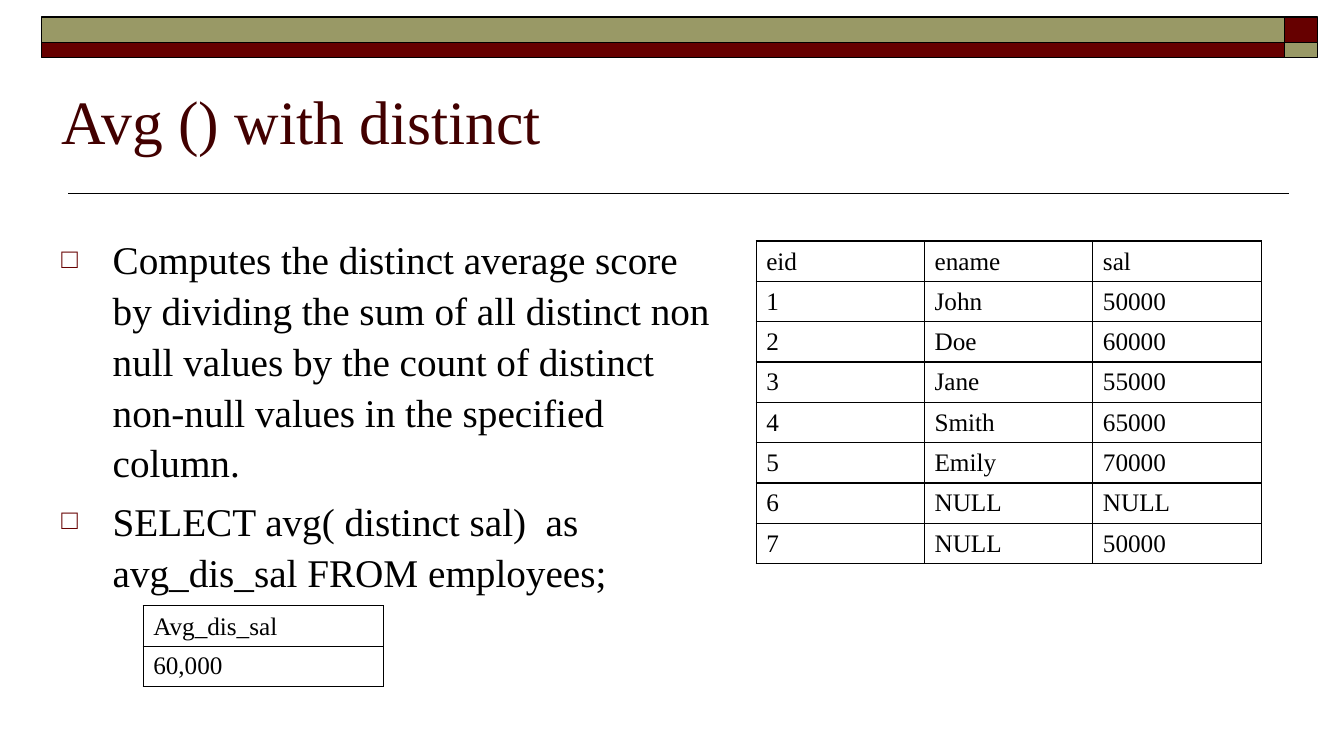
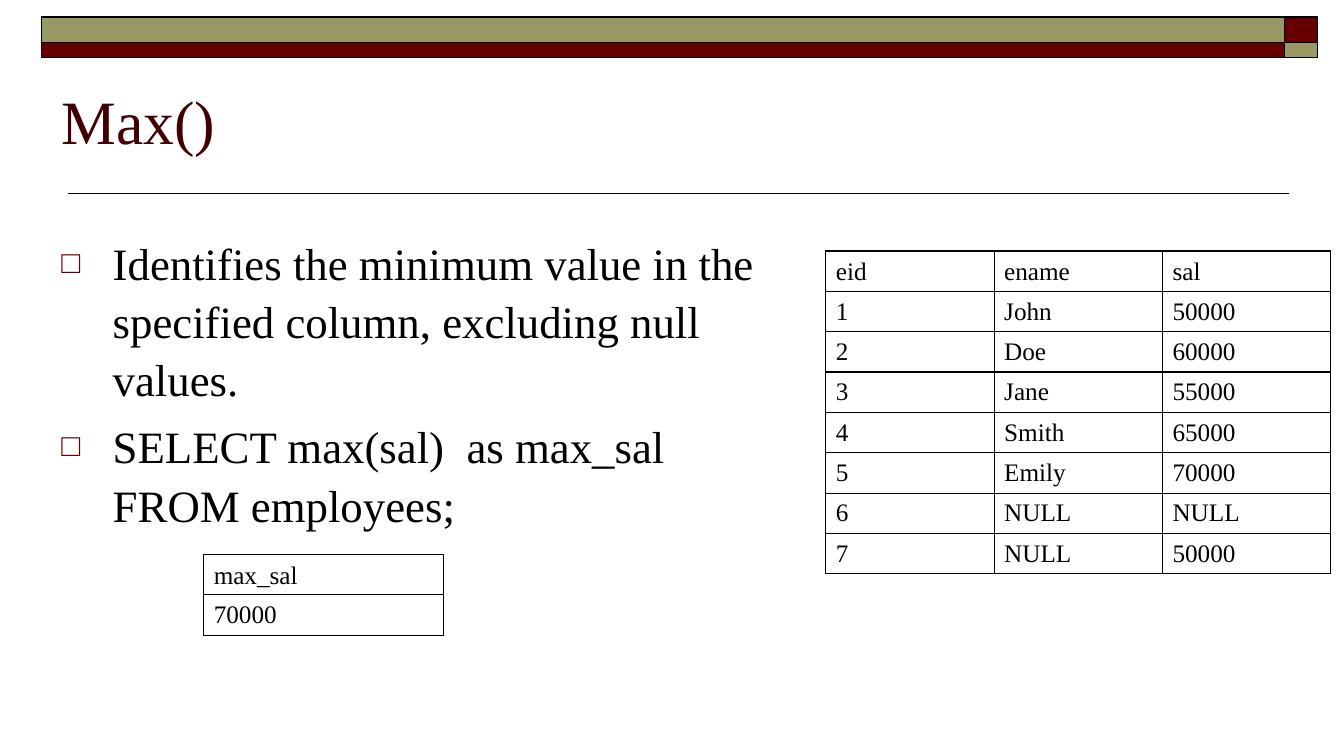
"""Build two slides on the SQL aggregate functions avg(distinct) and max()."""
from lxml import etree
from pptx import Presentation, util as u
from pptx.dml.color import RGBColor
from pptx.enum import shapes, text
from pptx.oxml import parse_xml
from pptx.oxml.ns import nsdecls, qn

PX = 9144
FONT = "Times New Roman"
COLOURS = {"maroon": "660000", "olive": "999966", "title": "420000", "ink": "000000"}
RGB = {name: RGBColor.from_string(value) for name, value in COLOURS.items()}

BANDS = [
    (1274, 17, 33, 25, "maroon"),
    (41, 17, 1233, 25, "olive"),
    (41, 42, 1233, 15, "maroon"),
    (1274, 42, 33, 15, "olive"),
]
BULLET = [
    f'<a:buClr {nsdecls("a")}><a:srgbClr val="{COLOURS["maroon"]}"/></a:buClr>',
    f'<a:buSzPct {nsdecls("a")} val="70000"/>',
    f'<a:buFont {nsdecls("a")} typeface="{FONT}"/>',
    f'<a:buChar {nsdecls("a")} char="□"/>',
]
EMPLOYEES = [
    ("eid", "ename", "sal"),
    ("1", "John", "50000"),
    ("2", "Doe", "60000"),
    ("3", "Jane", "55000"),
    ("4", "Smith", "65000"),
    ("5", "Emily", "70000"),
    ("6", "NULL", "NULL"),
    ("7", "NULL", "50000"),
]
SLIDES = [
    {
        "title": "Avg () with distinct",
        "bullets": [
            "Computes the distinct average score by dividing the sum of all distinct non null "
            "values by the count of distinct non-null values in the specified column.",
            "SELECT avg( distinct sal)  as avg_dis_sal FROM employees;",
        ],
        "size": 28,
        "body_width": 673,
        "tables": [
            (750, 239, 167, EMPLOYEES),
            (142, 601, 238, [("Avg_dis_sal",), ("60,000",)]),
        ],
    },
    {
        "title": "Max()",
        "bullets": [
            "Identifies the minimum value in the specified column, excluding null values.",
            "SELECT max(sal)  as max_sal FROM employees;",
        ],
        "size": 32,
        "body_width": 727,
        "tables": [
            (819, 249, 167, EMPLOYEES),
            (202, 550, 238, [("max_sal",), ("70000",)]),
        ],
    },
]
ROW_HEIGHT = 37
INDENT = 51


def px(*lengths):
    return [u.Emu(length * PX) for length in lengths]


def write(para, words, size, colour):
    para.text = words
    para.font.name = FONT
    para.font.size = u.Pt(size)
    para.font.color.rgb = RGB[colour]


deck = Presentation()
deck.slide_width, deck.slide_height = px(1333, 750)

for content in SLIDES:
    page = deck.slides.add_slide(deck.slide_layouts[6])

    rule = page.shapes.add_connector(shapes.MSO_CONNECTOR.STRAIGHT, *px(1278, 192, 67, 192))
    rule.line.color.rgb = RGB["ink"]
    rule.line.width = u.Pt(1)
    etree.SubElement(rule._element.spPr, qn("a:effectLst"))

    for *place, colour in BANDS:
        band = page.shapes.add_shape(shapes.MSO_SHAPE.RECTANGLE, *px(*place))
        band.shadow.inherit = False
        band.fill.solid()
        band.fill.fore_color.rgb = RGB[colour]
        band.line.color.rgb = RGB["ink"]
        band.line.width = u.Pt(1)

    title = page.shapes.add_textbox(*px(51, 35, 1200, 125)).text_frame
    title.word_wrap = True
    title.vertical_anchor = text.MSO_ANCHOR.BOTTOM
    write(title.paragraphs[0], content["title"], 44, "title")

    body = page.shapes.add_textbox(*px(51, 225, content["body_width"], 457)).text_frame
    body.word_wrap = True
    for index, words in enumerate(content["bullets"]):
        para = body.add_paragraph() if index else body.paragraphs[0]
        para.line_spacing = 1.08
        para.space_before = u.Pt(content["size"] * 0.2)
        properties = para._p.get_or_add_pPr()
        properties.set("marL", str(INDENT * PX))
        properties.set("indent", str(-INDENT * PX))
        for xml in BULLET:
            properties.append(parse_xml(xml))
        write(para, words, content["size"], "ink")

    for left, top, column_width, rows in content["tables"]:
        columns = len(rows[0])
        place = px(left, top, column_width * columns, ROW_HEIGHT * len(rows))
        table = page.shapes.add_table(len(rows), columns, *place).table
        table.first_row = table.horz_banding = False
        for row_index, row in enumerate(rows):
            for column_index, words in enumerate(row):
                cell = table.cell(row_index, column_index)
                cell.vertical_anchor = text.MSO_ANCHOR.MIDDLE if row_index else text.MSO_ANCHOR.BOTTOM
                for side in "LRTB":
                    cell._tc.get_or_add_tcPr().append(parse_xml(
                        f'<a:ln{side} {nsdecls("a")} w="12700"><a:solidFill>'
                        f'<a:srgbClr val="{COLOURS["ink"]}"/></a:solidFill></a:ln{side}>'))
                cell.fill.background()
                write(cell.text_frame.paragraphs[0], words, 18, "ink")

deck.save("out.pptx")
